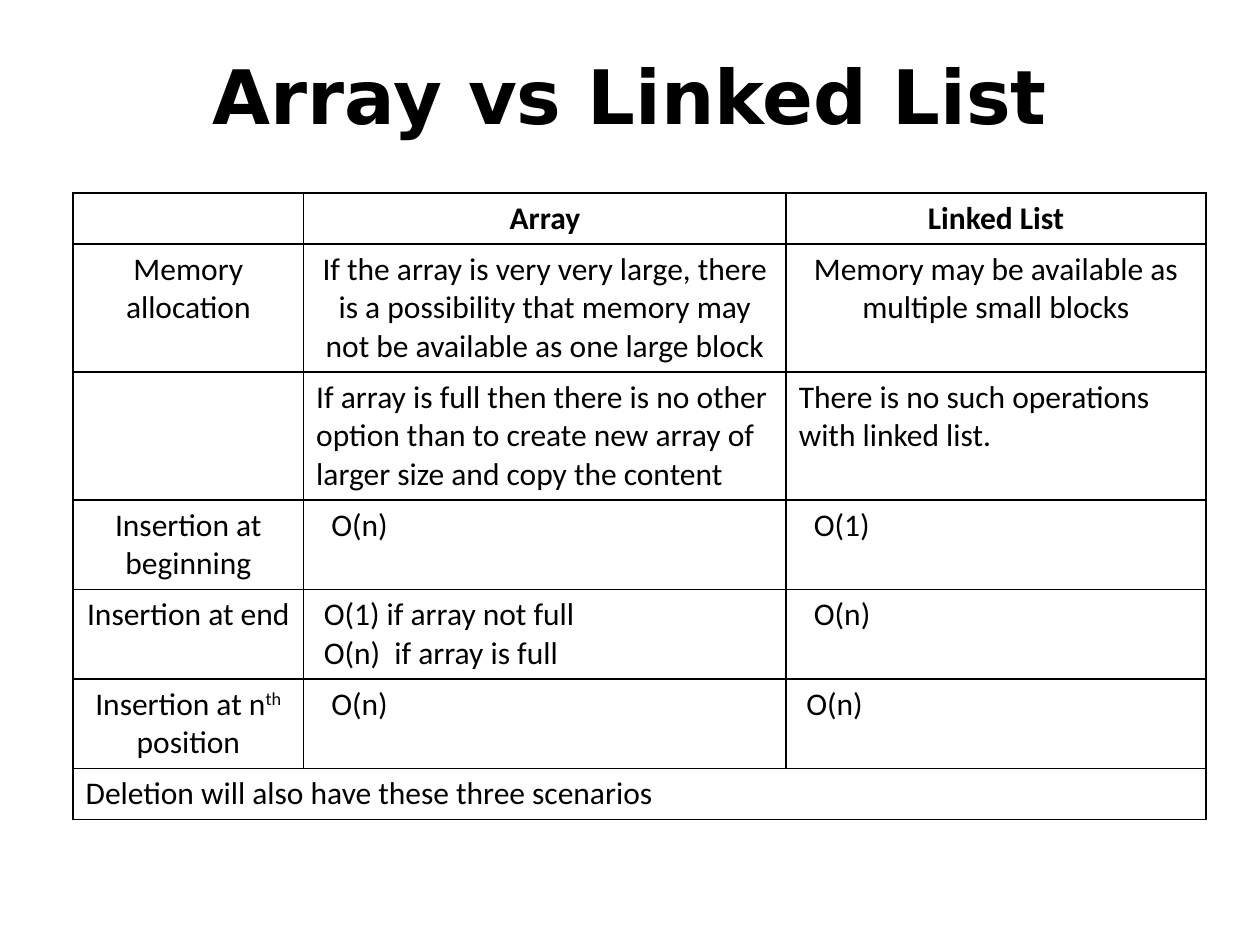
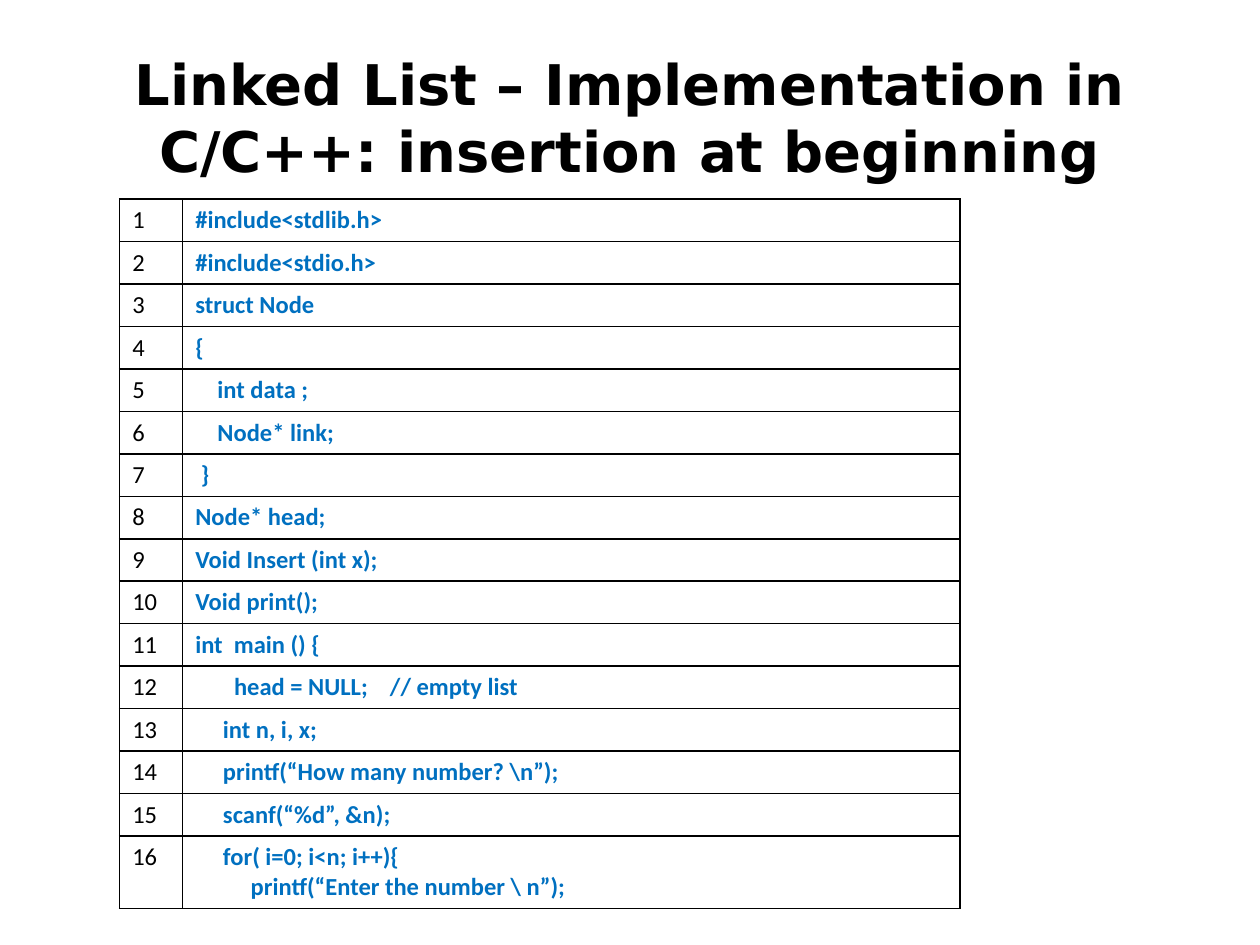
"""Build two slides: an array and linked list comparison, and a C listing."""
from lxml.etree import SubElement
from pptx import Presentation
from pptx.dml.color import RGBColor
from pptx.enum.text import MSO_ANCHOR as Anchor, PP_ALIGN as Align
from pptx.oxml.ns import qn
from pptx.util import Inches, Pt

BLACK = RGBColor(0x00, 0x00, 0x00)
CODE_BLUE = RGBColor(0x00, 0x70, 0xC0)
TITLE_FONT, BODY_FONT = "DejaVu Sans", "Calibri"
TITLE_ONLY = 5
CELL_PADDING = 0.1
LINE_SPACING = 1.22
SPACE_WIDTH = 0.06

COMPARISON_TITLE = "Array vs Linked List"
COMPARISON = [
    ("", "Array", "Linked List"),
    ("Memory allocation",
     "If the array is very very large, there is a possibility that memory may "
     "not be available as one large block",
     "Memory may be available as multiple small blocks"),
    ("",
     "If array is full then there is no other option than to create new array "
     "of larger size and copy the content",
     "There is no such operations with linked list."),
    ("Insertion at beginning", "O(n)", "O(1)"),
    ("Insertion at end", "O(1) if array not full\nO(n)  if array is full", "O(n)"),
    ("Insertion at n^th^ position", "O(n)", "O(n)"),
    ("Deletion will also have these three scenarios", "", ""),
]
COMPARISON_LINES = [1, 3, 3, 2, 2, 2, 1]
COMPARISON_COLUMNS = [1.83, 3.83, 3.33]
COST_INDENTS = {(3, 1): 2, (3, 2): 2, (4, 1): 1, (4, 2): 2, (5, 1): 2, (5, 2): 1}

LISTING_TITLE = "Linked List – Implementation in C/C++: insertion at beginning"
LISTING = [
    "#include<stdlib.h>",
    "#include<stdio.h>",
    "struct Node",
    "{",
    "    int data ;",
    "    Node* link;",
    " }",
    "Node* head;",
    "Void Insert (int x);",
    "Void print();",
    "int  main () {",
    "       head = NULL;    // empty list",
    "     int n, i, x;",
    "     printf(“How many number? \\n”);",
    "     scanf(“%d”, &n);",
    "     for( i=0; i<n; i++){\n          printf(“Enter the number \\ n”);",
]
LISTING_COLUMNS = [0.5, 6.17]


def style_font(font, name, size, color, bold):
    font.name, font.size, font.bold = name, Pt(size), bold
    font.color.rgb = color


def add_titled_slide(deck, wording, size):
    slide = deck.slides.add_slide(deck.slide_layouts[TITLE_ONLY])
    title = slide.shapes.title
    title.left, title.top = Inches(0.5), Inches(0.3)
    title.width, title.height = Inches(9), Inches(1.25)
    frame = title.text_frame
    frame.text = wording
    frame.word_wrap = True
    frame.vertical_anchor = Anchor.TOP
    frame.margin_top = Inches(0.09)
    heading = frame.paragraphs[0]
    heading.alignment = Align.CENTER
    style_font(heading.runs[0].font, TITLE_FONT, size, BLACK, True)
    return slide


def outline(cell):
    cell.fill.background()
    properties = cell._tc.get_or_add_tcPr()
    for position, side in enumerate(("lnL", "lnR", "lnT", "lnB")):
        border = SubElement(properties, qn(f"a:{side}"), w=str(Pt(1)))
        fill = SubElement(border, qn("a:solidFill"))
        SubElement(fill, qn("a:srgbClr"), val=str(BLACK))
        properties.insert(position, border)


def write(cell, wording, size, color, bold, alignment):
    """Fill a cell; text between carets is raised."""
    lines = wording.split("\n") if wording else []
    for index, line in enumerate(lines):
        frame = cell.text_frame
        paragraph = frame.add_paragraph() if index else frame.paragraphs[0]
        paragraph.alignment = alignment
        for part, piece in enumerate(line.split("^")):
            run = paragraph.add_run()
            run.text = piece
            style_font(run.font, BODY_FONT, size, color, bold)
            if part % 2:
                run.font._element.set("baseline", "30000")


def add_grid(slide, left, top, columns, line_counts, size):
    heights = [2 * 0.05 + n * size * LINE_SPACING / 72 for n in line_counts]
    grid = slide.shapes.add_table(
        len(heights), len(columns), Inches(left), Inches(top),
        Inches(sum(columns)), Inches(sum(heights))).table
    grid.first_row = grid.horz_banding = False
    for column, width in zip(grid.columns, columns):
        column.width = Inches(width)
    for row, height in zip(grid.rows, heights):
        row.height = Inches(height)
    for cell in grid.iter_cells():
        outline(cell)
    return grid


def build_comparison(deck):
    slide = add_titled_slide(deck, COMPARISON_TITLE, 42.9)
    grid = add_grid(slide, 0.58, 1.53, COMPARISON_COLUMNS, COMPARISON_LINES, 18)
    last = len(COMPARISON) - 1
    grid.cell(last, 0).merge(grid.cell(last, len(COMPARISON_COLUMNS) - 1))
    for r, row in enumerate(COMPARISON):
        for c, wording in enumerate(row):
            centred = r < 2 or (c == 0 and r < last)
            cell = grid.cell(r, c)
            indent = COST_INDENTS.get((r, c), 0) * SPACE_WIDTH
            cell.margin_left = Inches(CELL_PADDING + indent)
            write(cell, wording, 18, BLACK, r == 0,
                  Align.CENTER if centred else Align.LEFT)


def build_listing(deck):
    slide = add_titled_slide(deck, LISTING_TITLE, 32)
    line_counts = [code.count("\n") + 1 for code in LISTING]
    grid = add_grid(slide, 0.95, 1.58, LISTING_COLUMNS, line_counts, 14)
    for r, code in enumerate(LISTING):
        write(grid.cell(r, 0), str(r + 1), 14, BLACK, False, Align.LEFT)
        write(grid.cell(r, 1), code, 14, CODE_BLUE, True, Align.LEFT)


def main():
    deck = Presentation()
    deck.slide_width, deck.slide_height = Inches(10), Inches(7.5)
    build_comparison(deck)
    build_listing(deck)
    deck.save("out.pptx")


if __name__ == "__main__":
    main()
